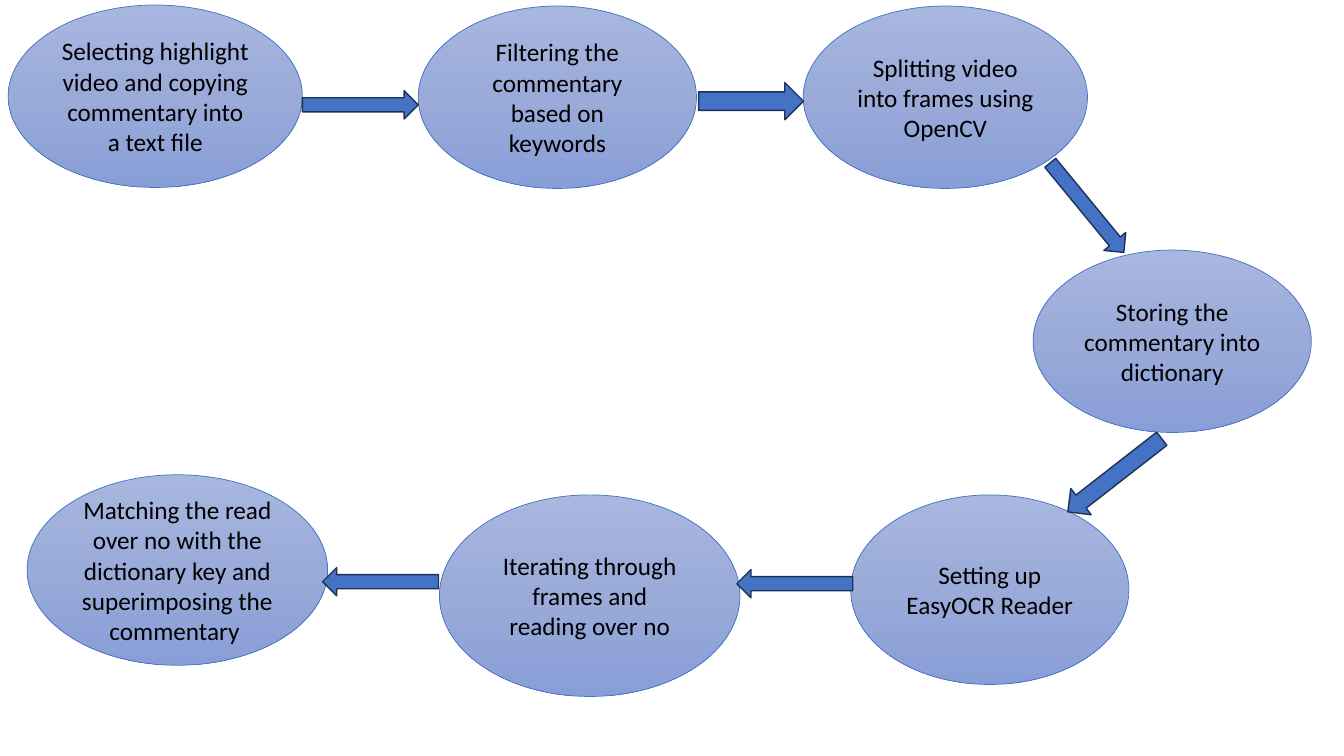
"""Build a flow diagram of the commentary-matching pipeline on one slide."""
from copy import deepcopy
from dataclasses import dataclass

from pptx import Presentation
from pptx.dml.color import RGBColor
from pptx.enum.shapes import MSO_SHAPE
from pptx.enum.text import MSO_ANCHOR, PP_ALIGN
from pptx.oxml.ns import qn
from pptx.shapes.autoshape import Shape
from pptx.slide import Slide
from pptx.util import Pt

COLORS = {
    "gradient_top": "A8B7DF",
    "gradient_middle": "9AABD9",
    "gradient_bottom": "889ED7",
    "accent": "4472C4",
    "arrow_outline": "1E3256",
    "text": "000000",
}
GRADIENT = [(0, "gradient_top"), (0.5, "gradient_middle"), (1, "gradient_bottom")]
FRAME_FORMAT = {"word_wrap": True, "vertical_anchor": MSO_ANCHOR.MIDDLE}
FONT_FORMAT = {"name": "Calibri", "size": Pt(18)}


@dataclass(frozen=True)
class Step:
    text: str
    left: float
    top: float
    width: float = 198.7
    height: float = 130.3


@dataclass(frozen=True)
class Arrow:
    left: float
    top: float
    width: float = 82.8
    height: float = 20.2
    rotation: float = 0


STEPS = [
    Step("Selecting highlight video and copying commentary into a text file", 5.8, 3.6, 210.2),
    Step("Filtering the commentary based on keywords", 298.8, 4.3),
    Step("Splitting video into frames using OpenCV", 573.8, 4.3, 203),
    Step("Storing the commentary into dictionary", 738, 178.6),
    Step("Setting up EasyOCR Reader", 607.7, 353.5, height=135.4),
    Step("Iterating through frames and reading over no", 313.9, 353.5, 214.6, 144),
    Step("Matching the read over no with the dictionary key and superimposing the commentary ",
         19.4, 339.1, 214.6, 136.1),
]
ARROWS = [
    Arrow(216, 64.8),
    Arrow(499, 59, 74.9, 26.6),
    Arrow(735.1, 138.2, rotation=50.6),
    Arrow(753.8, 327.6, 85, 23.8, 142.1),
    Arrow(526.3, 406.8, rotation=180),
    Arrow(230.4, 405.4, rotation=180),
]


def color(name: str) -> RGBColor:
    return RGBColor.from_string(COLORS[name])


def apply_format(target: object, values: dict) -> None:
    for name, value in values.items():
        setattr(target, name, value)


def add_outlined(slide: Slide, kind: MSO_SHAPE, item: Step | Arrow,
                 outline: str, line_width: float) -> Shape:
    box = map(Pt, (item.left, item.top, item.width, item.height))
    shape = slide.shapes.add_shape(kind, *box)
    shape.shadow.inherit = False
    shape.line.color.rgb = color(outline)
    shape.line.width = Pt(line_width)
    return shape


def fill_gradient(shape: Shape) -> None:
    shape.fill.gradient()
    shape.fill.gradient_angle = 270
    stop_list = next(shape.element.iter(qn("a:gsLst")))
    stop_list.append(deepcopy(stop_list[0]))
    for stop, (position, name) in zip(shape.fill.gradient_stops, GRADIENT):
        stop.position = position
        stop.color.rgb = color(name)


def draw_step(slide: Slide, step: Step) -> None:
    shape = add_outlined(slide, MSO_SHAPE.OVAL, step, "accent", 0.5)
    fill_gradient(shape)
    apply_format(shape.text_frame, FRAME_FORMAT)
    paragraph = shape.text_frame.paragraphs[0]
    paragraph.alignment = PP_ALIGN.CENTER
    run = paragraph.add_run()
    run.text = step.text
    apply_format(run.font, FONT_FORMAT)
    run.font.color.rgb = color("text")


def draw_arrow(slide: Slide, arrow: Arrow) -> None:
    shape = add_outlined(slide, MSO_SHAPE.RIGHT_ARROW, arrow, "arrow_outline", 1)
    shape.fill.solid()
    shape.fill.fore_color.rgb = color("accent")
    shape.rotation = arrow.rotation


def main() -> None:
    presentation = Presentation()
    apply_format(presentation, {"slide_width": Pt(960), "slide_height": Pt(540)})
    slide = presentation.slides.add_slide(presentation.slide_layouts[6])
    for step in STEPS:
        draw_step(slide, step)
    for arrow in ARROWS:
        draw_arrow(slide, arrow)
    presentation.save("out.pptx")


if __name__ == "__main__":
    main()
